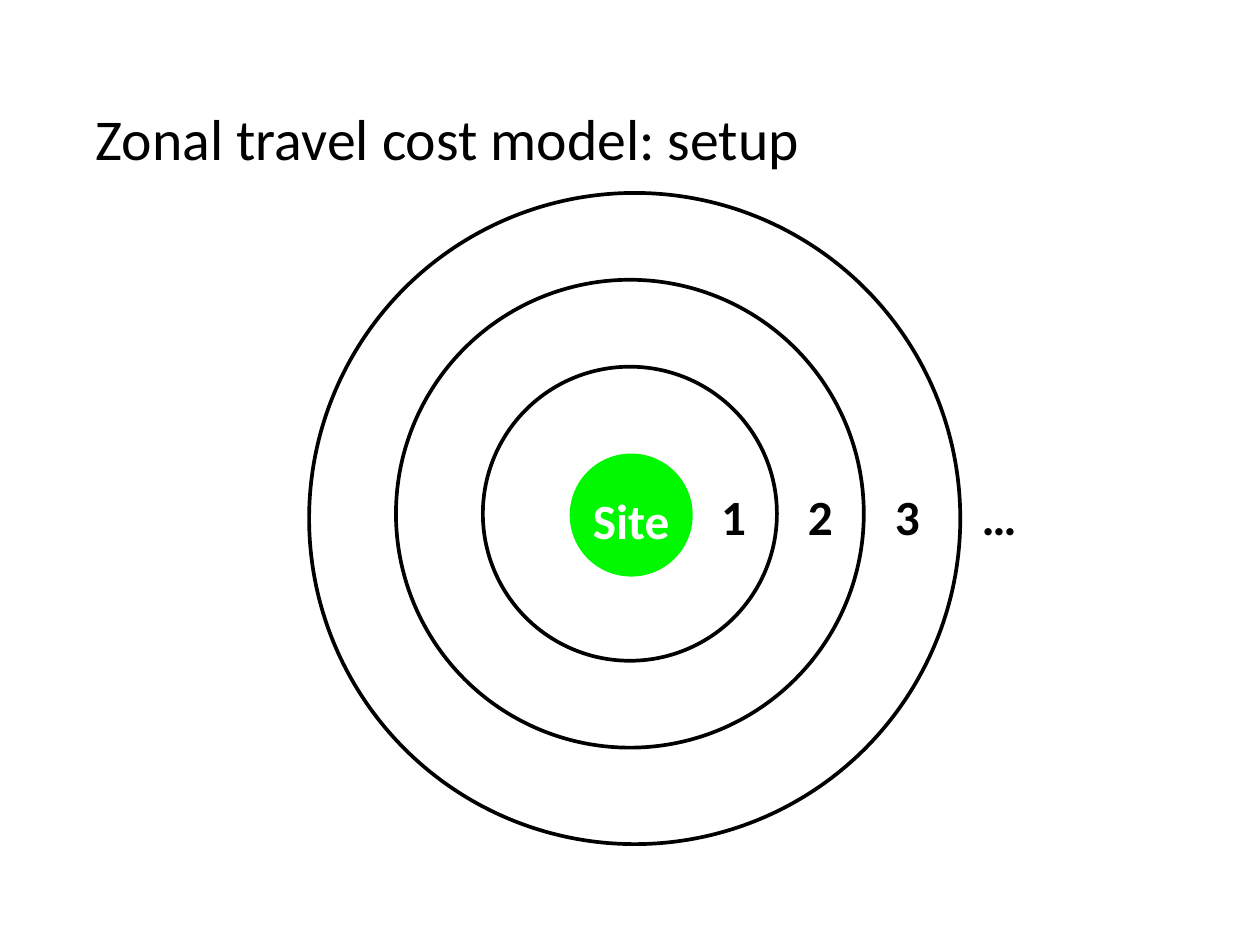
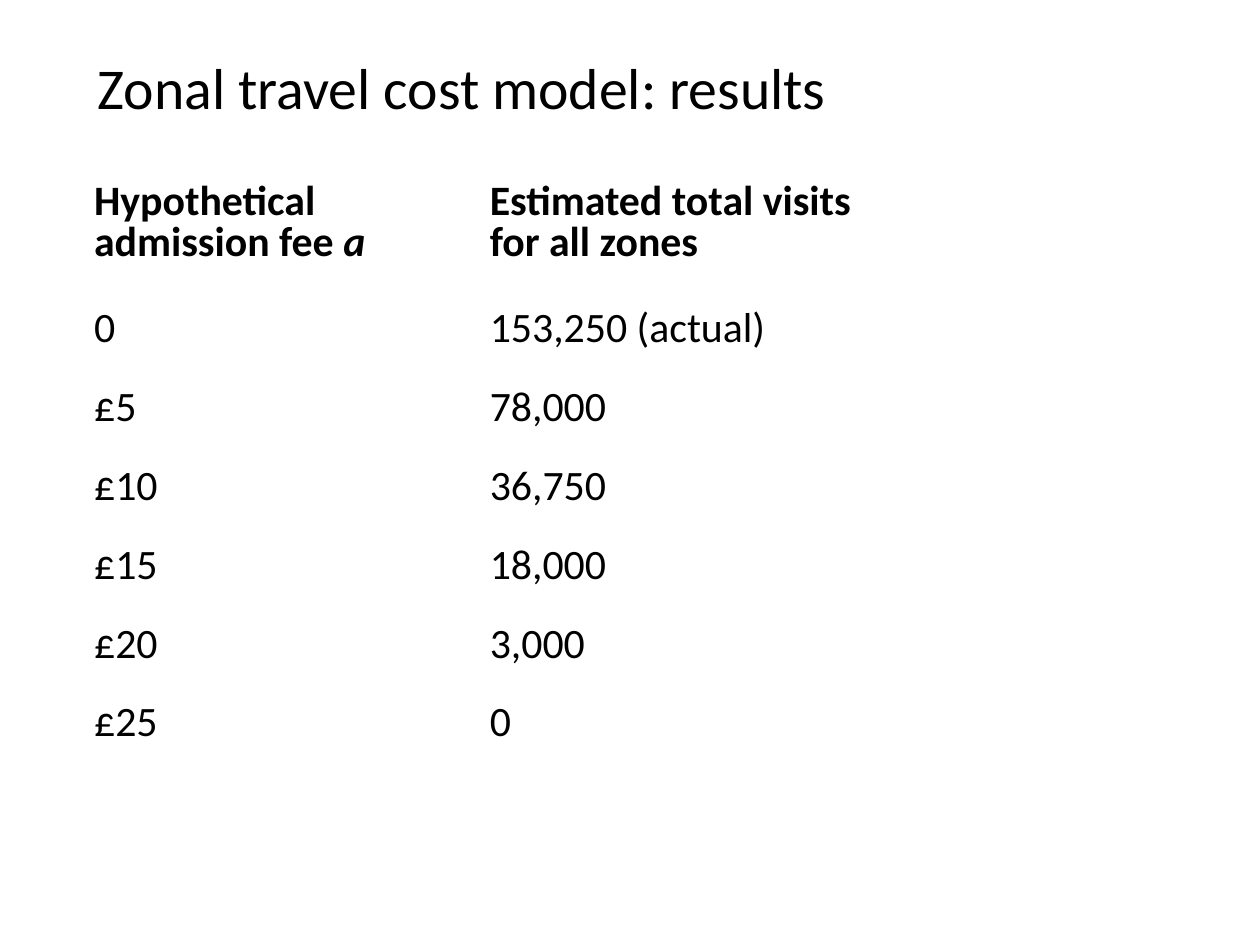
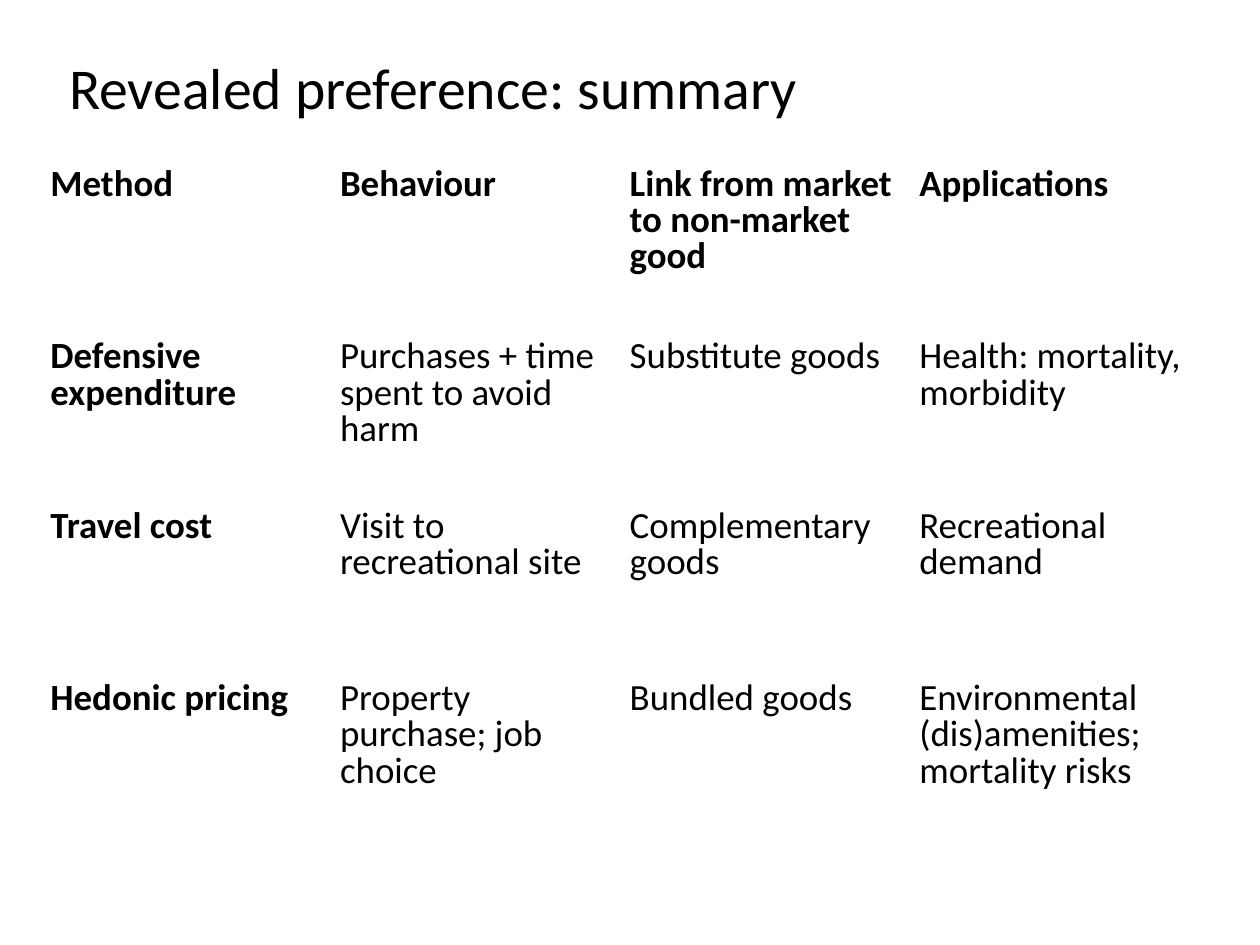
from lxml import etree
from pptx import Presentation
from pptx.dml.color import RGBColor
from pptx.enum.shapes import MSO_SHAPE
from pptx.enum.text import MSO_ANCHOR, MSO_AUTO_SIZE, PP_ALIGN
from pptx.oxml.ns import qn
from pptx.util import Pt

OVAL = MSO_SHAPE.OVAL
TOP, MIDDLE = MSO_ANCHOR.TOP, MSO_ANCHOR.MIDDLE
LEFT, CENTER = PP_ALIGN.LEFT, PP_ALIGN.CENTER
FIXED_SIZE, GROW = MSO_AUTO_SIZE.NONE, MSO_AUTO_SIZE.SHAPE_TO_FIT_TEXT

# Shared look
FONT = "Calibri"
BLACK, WHITE, GREEN = "000000", "FFFFFF", "00F900"
TITLE_SIZE = 46.9
TITLE_WIDTH, TITLE_HEIGHT = 883.4, 148.3
MARGINS = ("margin_left", "margin_top", "margin_right", "margin_bottom")

# Zone diagram
SITE_LEFT, SITE_TOP, SITE_DIAMETER = 463, 368.6, 100
ZONE_STEP = 70.6
ZONE_DIAMETERS = {3: 529.2, 2: 380.2, 1: 239}
LABEL_X, LABEL_Y = 525.6, 419.4

# Table contents
FEE_ROWS = [
    ("Hypothetical admission fee ", "Estimated total visits for all zones"),
    ("0", "153,250 (actual)"),
    ("£5", "78,000"),
    ("£10", "36,750"),
    ("£15", "18,000"),
    ("£20", "3,000"),
    ("£25", "0"),
]
METHOD_ROWS = [
    ("Method", "Behaviour", "Link from market to non-market good",
     "Applications"),
    ("Defensive expenditure", "Purchases + time spent to avoid harm",
     "Substitute goods", "Health: mortality, morbidity"),
    ("Travel cost", "Visit to recreational site", "Complementary goods",
     "Recreational demand"),
    ("Hedonic pricing", "Property purchase; job choice", "Bundled goods",
     "Environmental (dis)amenities; mortality risks"),
]


def rgb(value):
    return RGBColor.from_string(value)


def apply(target, values):
    for name, value in values.items():
        setattr(target, name, value)


def add_run(paragraph, text, size, color=BLACK, bold=False, italic=False):
    run = paragraph.add_run()
    run.text = text
    apply(run.font, {"name": FONT, "size": Pt(size), "bold": bold,
                     "italic": italic})
    run.font.color.rgb = rgb(color)


def add_titled_slide(prs, text, left, top=0):
    slide = prs.slides.add_slide(prs.slide_layouts[5])
    title = slide.shapes.title
    apply(title, {"left": Pt(left), "top": Pt(top),
                  "width": Pt(TITLE_WIDTH), "height": Pt(TITLE_HEIGHT)})
    apply(title.text_frame, {"auto_size": FIXED_SIZE, "word_wrap": True,
                             "vertical_anchor": MIDDLE})
    paragraph = title.text_frame.paragraphs[0]
    apply(paragraph, {"alignment": LEFT, "line_spacing": 0.9})
    add_run(paragraph, text, TITLE_SIZE)
    return slide


# Diagram elements
def add_circle(shapes, level, diameter, fill=None):
    """Each level outwards moves the top left corner by one zone step."""
    circle = shapes.add_shape(
        OVAL, Pt(SITE_LEFT - level * ZONE_STEP),
        Pt(SITE_TOP - level * ZONE_STEP), Pt(diameter), Pt(diameter))
    circle.shadow.inherit = False
    if fill:
        circle.fill.solid()
        circle.fill.fore_color.rgb = rgb(fill)
        circle.line.fill.background()
    else:
        circle.fill.background()
        circle.line.color.rgb = rgb(BLACK)
        circle.line.width = Pt(3)


def add_label(shapes, text, center_x, center_y, width=30, color=BLACK):
    height = 57
    label = shapes.add_textbox(Pt(center_x - width / 2),
                               Pt(center_y - height / 2),
                               Pt(width), Pt(height))
    frame = label.text_frame
    apply(frame, dict.fromkeys(MARGINS, Pt(4.5)))
    apply(frame, {"word_wrap": False, "auto_size": GROW,
                  "vertical_anchor": MIDDLE})
    paragraph = frame.paragraphs[0]
    paragraph.alignment = CENTER
    add_run(paragraph, text, 40, color, bold=True)


# Table elements
def set_borders(cell, top, bottom):
    properties = cell._tc.get_or_add_tcPr()
    widths = {"a:lnL": 2, "a:lnR": 2, "a:lnT": top, "a:lnB": bottom}
    for index, (tag, width) in enumerate(widths.items()):
        line = etree.Element(qn(tag), w=str(Pt(width)))
        fill = etree.SubElement(line, qn("a:solidFill"))
        etree.SubElement(fill, qn("a:srgbClr"), val=WHITE)
        properties.insert(index, line)


def add_text_table(slide, rows, left, top, column_width, row_heights, size,
                   margin, anchor, header_rule=2, header_column=False):
    table = slide.shapes.add_table(
        len(rows), len(rows[0]), Pt(left), Pt(top),
        Pt(column_width * len(rows[0])), Pt(sum(row_heights))).table
    apply(table, {"first_row": False, "horz_banding": False})
    for column in table.columns:
        column.width = Pt(column_width)
    for r, (texts, height) in enumerate(zip(rows, row_heights)):
        table.rows[r].height = Pt(height)
        for c, text in enumerate(texts):
            cell = table.cell(r, c)
            cell.fill.background()
            apply(cell, dict.fromkeys(MARGINS, Pt(margin)))
            cell.vertical_anchor = anchor
            set_borders(cell, header_rule if r == 1 else 2,
                        header_rule if r == 0 else 2)
            paragraph = cell.text_frame.paragraphs[0]
            apply(paragraph, {"alignment": LEFT, "line_spacing": 0.8})
            add_run(paragraph, text, size,
                    bold=r == 0 or (header_column and c == 0))
    return table


# Slides
def build_setup(prs):
    slide = add_titled_slide(prs, "Zonal travel cost model: setup", 70.6, 41)
    add_circle(slide.shapes, 0, SITE_DIAMETER, GREEN)
    for zone, diameter in ZONE_DIAMETERS.items():
        group = slide.shapes.add_group_shape()
        add_circle(group.shapes, zone, diameter)
        add_label(group.shapes, str(zone), LABEL_X + zone * ZONE_STEP, LABEL_Y)
    add_label(slide.shapes, "Site", SITE_LEFT + SITE_DIAMETER / 2, 422.3,
              width=77, color=WHITE)
    add_label(slide.shapes, "…", 812, LABEL_Y, width=46)


def build_results(prs):
    slide = add_titled_slide(prs, "Zonal travel cost model: results", 72)
    table = add_text_table(slide, FEE_ROWS, 72, 128, 321.6,
                           [108] + [64.2] * 6, size=34, margin=4.5,
                           anchor=MIDDLE)
    fee_heading = table.cell(0, 0).text_frame.paragraphs[0]
    add_run(fee_heading, "a", 34, bold=True, italic=True)


def build_summary(prs):
    slide = add_titled_slide(prs, "Revealed preference: summary", 49)
    add_text_table(slide, METHOD_ROWS, 33, 128, 235.4,
                   [140.4, 137.5, 140.4, 140.4], size=30, margin=8,
                   anchor=TOP, header_rule=5, header_column=True)


def main():
    prs = Presentation()
    prs.slide_width, prs.slide_height = Pt(1024), Pt(768)
    build_setup(prs)
    build_results(prs)
    build_summary(prs)
    prs.save("out.pptx")


if __name__ == "__main__":
    main()
